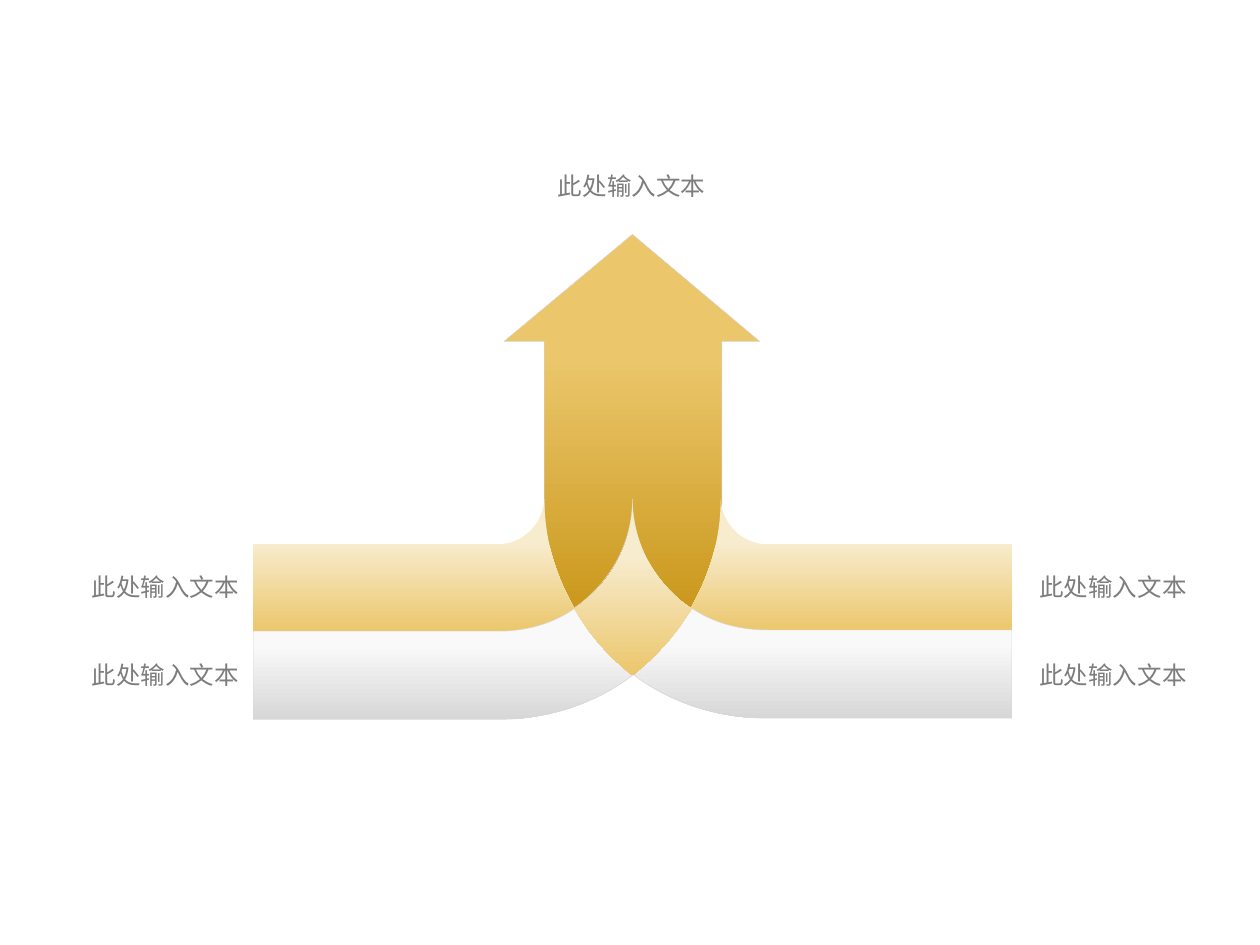
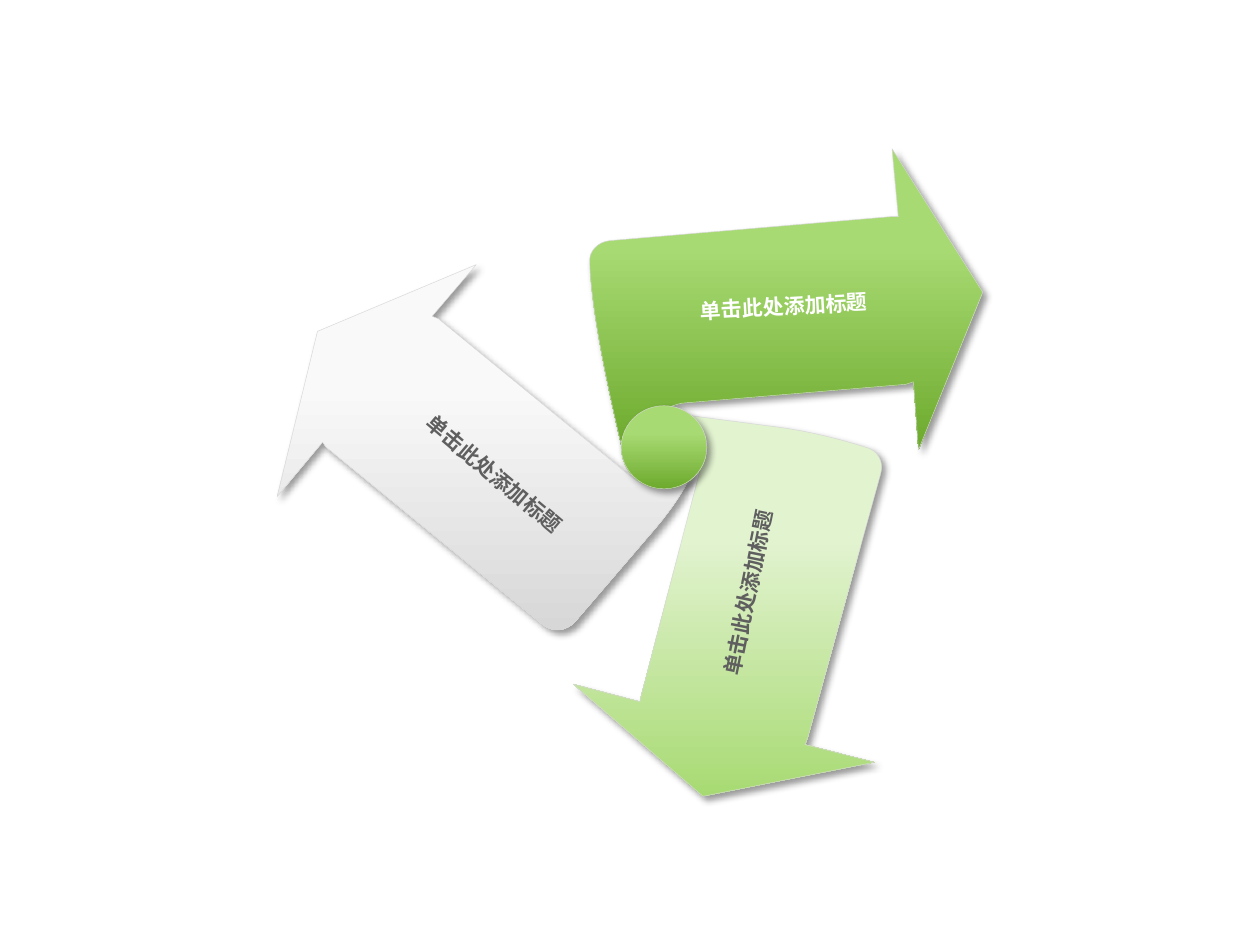
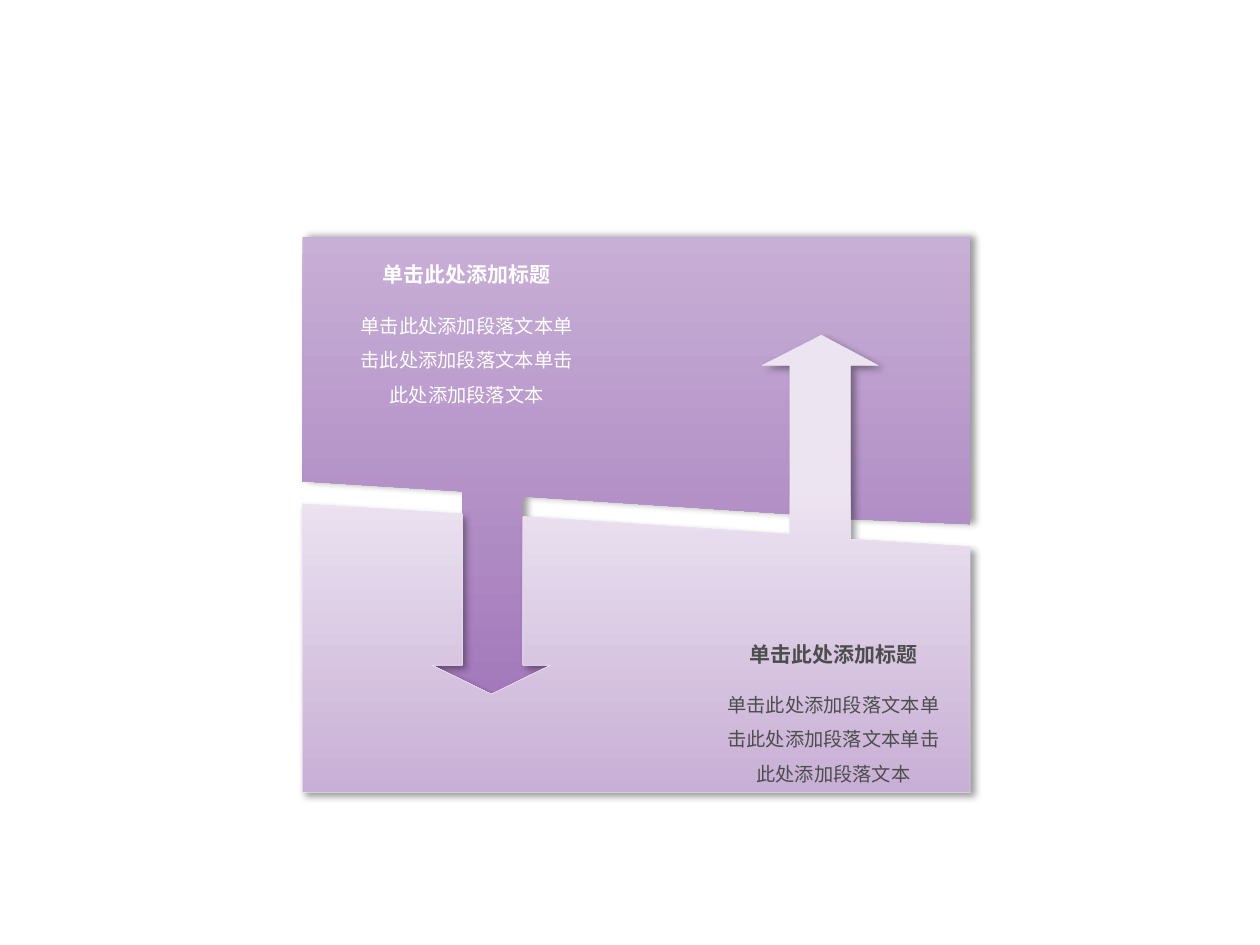
from lxml import etree
from pptx import Presentation
from pptx import util as u
from pptx.dml.color import RGBColor
from pptx.enum import shapes, text
from pptx.oxml.ns import qn

PX = 9144
FONT = "Noto Sans CJK SC"
SILVER = "D7D7D7"
GOLD = ("EBC66B", "CA981C")
CREAM = ("F8ECCE", "EBC66B")
GREY = ("F9F9F9", SILVER)
GREEN = ("A8DA73", "6DAA2D")
MINT = ("E2F3D0", "A8DA73")
PURPLE = ("C8AFD6", "A379BB")
LILAC = ("EDE4F1", "C8AFD6")
LABEL = "此处输入文本"
TITLE = "单击此处添加标题"
BODY = "单击此处添加段落文本" * 3
AXIS = 502


def rgb(value):
    return RGBColor.from_string(value)


def style(sp, colors, line=None, start=0.33, shadow=None):
    sp.shadow.inherit = False
    sp.fill.gradient()
    sp.fill.gradient_angle = 270
    for stop, color, position in zip(sp.fill.gradient_stops, colors, (start, 1)):
        stop.color.rgb = rgb(color)
        stop.position = position
    if line:
        sp.line.color.rgb = rgb(line)
        sp.line.width = u.Pt(0.25)
    else:
        sp.line.fill.background()
    if shadow is not None:
        effects = sp._element.spPr.find(qn("a:effectLst"))
        outer = etree.SubElement(effects, qn("a:outerShdw"), blurRad=str(u.Pt(4)),
                                 dist=str(u.Pt(3)), dir=str(shadow * 60000),
                                 algn="tl", rotWithShape="0")
        color = etree.SubElement(outer, qn("a:srgbClr"), val="000000")
        etree.SubElement(color, qn("a:alpha"), val="40000")


def outline_shape(s, outline, colors, **look):
    points = [part[i:i + 2] for part in outline for i in range(0, len(part), 2)]
    builder = s.shapes.build_freeform(*points[0], scale=PX)
    builder.add_line_segments(points[1:], close=False)
    sp = builder.convert_to_shape()
    bend(sp, outline)
    style(sp, colors, **look)


def bend(sp, outline):
    route = next(sp._element.iter(qn("a:path")))
    segments = iter(route.findall(qn("a:lnTo")))
    for part in outline[1:]:
        first = next(segments)
        if len(part) == 6:
            first.tag = qn("a:cubicBezTo")
            for _ in range(2):
                control = next(segments)
                first.append(control[0])
                route.remove(control)
    etree.SubElement(route, qn("a:close"))


def mirror(outline, dy=0):
    return [tuple(v + dy if i % 2 else 2 * AXIS - v for i, v in enumerate(part))
            for part in outline]


def label(s, x, y, w, h, words, size, color, bold=False, centred=True,
          wrap=True, spacing=None, rotation=0):
    sp = s.shapes.add_textbox(x * PX, y * PX, w * PX, h * PX)
    sp.rotation = rotation
    tf = sp.text_frame
    tf.word_wrap = wrap
    tf.auto_size = text.MSO_AUTO_SIZE.SHAPE_TO_FIT_TEXT
    p = tf.paragraphs[0]
    p.text = words
    if centred:
        p.alignment = text.PP_ALIGN.CENTER
    if spacing:
        p.line_spacing = spacing
    p.font.name = FONT
    p.font.size = u.Pt(size)
    p.font.bold = bold
    p.font.color.rgb = rgb(color)
    etree.SubElement(p._p.pPr.find(qn("a:defRPr")), qn("a:ea"), typeface=FONT)


def caption(s, x, y, color):
    label(s, x, y + 32, 193, 94, BODY, 11, color, spacing=1.5)
    label(s, x, y, 193, 31, TITLE, 12, color, bold=True)


def merging_arrow(s):
    arrow = [(432, 396), (432, 428, 440, 457, 455, 483), (483, 464, 502, 432, 502, 396),
             (502, 433, 521, 465, 549, 484), (564, 459, 572, 430, 573, 400), (573, 271),
             (603, 271), (502, 186), (400, 271), (432, 271), (432, 396)]
    upper = [(456, 483), (441, 457, 432, 428, 432, 396), (431, 416, 415, 432, 395, 432),
             (201, 432), (201, 502), (395, 502), (418, 502, 438, 495, 456, 483)]
    lower = [(502, 536), (483, 521, 468, 503, 456, 483), (439, 495, 418, 501, 395, 501),
             (201, 501), (201, 571), (395, 571), (436, 571, 473, 558, 502, 536)]
    centre = [(502, 396), (502, 426, 490, 453, 470, 472), (465, 476, 461, 480, 456, 483),
              (467, 503, 483, 521, 502, 536), (521, 521, 537, 503, 549, 483),
              (544, 480, 539, 476, 535, 472), (515, 453, 502, 426, 502, 396)]
    outline_shape(s, arrow, GOLD, line=SILVER)
    outline_shape(s, mirror(upper), CREAM)
    outline_shape(s, mirror(lower, -1), GREY, line=SILVER)
    outline_shape(s, upper, CREAM)
    outline_shape(s, lower, GREY, line=SILVER)
    outline_shape(s, centre, CREAM)
    for x, y in [(815, 449), (815, 519), (63, 449), (63, 519), (433, 131)]:
        label(s, x, y, 138, 34, LABEL, 14, "7D7D7D", centred=False, wrap=False)


def turning_arrows(s):
    right = [(494, 357), (500, 342, 516, 326, 541, 320), (719, 305), (725, 303), (729, 357),
             (780, 232), (708, 118), (713, 172), (707, 172), (484, 191),
             (474, 192, 467, 200, 468, 209), (470, 250, 482, 306, 494, 357)]
    down = [(533, 328), (546, 333, 556, 355, 556, 372), (509, 552), (508, 557), (455, 543),
            (558, 632), (694, 605), (639, 591), (641, 586), (699, 376),
            (702, 366, 696, 357, 687, 355), (665, 348, 640, 342, 617, 339), (533, 328)]
    left = [(551, 371), (542, 380, 531, 387, 520, 387), (508, 386, 498, 376, 487, 367),
            (348, 253), (343, 251), (378, 210), (252, 263), (220, 394), (256, 351), (259, 355),
            (431, 496), (439, 502, 449, 501, 456, 494), (517, 423),
            (531, 407, 544, 389, 551, 371)]
    for outline, colors, x, y, angle, ink in [
            (right, GREEN, 543, 228, 356.8, "FFFFFF"),
            (down, MINT, 515, 455, 281.5, "5F5F5F"),
            (left, GREY, 313, 361, 40.2, "5F5F5F")]:
        outline_shape(s, outline, colors, line=SILVER, shadow=45)
        label(s, x, y, 158, 31, TITLE, 12, ink, bold=True, rotation=angle)
    hub = s.shapes.add_shape(shapes.MSO_SHAPE.OVAL, 493 * PX, 322 * PX, 68 * PX, 66 * PX)
    style(hub, GREEN, line=SILVER, shadow=45)


def arrow_heads(down_tip, up_tip):
    down = [(415, 528), (437, 528), (390, down_tip), (343, 528), (367, 528)]
    up = [(675, 290), (697, 290), (652, up_tip), (605, 290), (627, 290)]
    return down, up


def exchange_panels(s):
    down, up = arrow_heads(552, 267)
    top = [(415, 394), *down, (367, 390), (240, 382), (240, 188), (770, 188),
           (770, 416), (675, 412), *up, (627, 408), (415, 394)]
    down, up = arrow_heads(551, 266)
    bottom = [(627, 424), *reversed(up), (675, 428), (770, 434), (770, 629),
              (240, 629), (240, 400), (367, 408), *reversed(down), (415, 410), (627, 424)]
    outline_shape(s, top, PURPLE, start=0, shadow=0)
    caption(s, 274, 203, "FFFFFF")
    outline_shape(s, bottom, LILAC, line=LILAC[0], shadow=45)
    caption(s, 565, 504, "4D4D4D")


def main():
    prs = Presentation()
    prs.slide_width, prs.slide_height = 1000 * PX, 750 * PX
    for draw in (merging_arrow, turning_arrows, exchange_panels):
        draw(prs.slides.add_slide(prs.slide_layouts[6]))
    prs.save("out.pptx")


if __name__ == "__main__":
    main()
